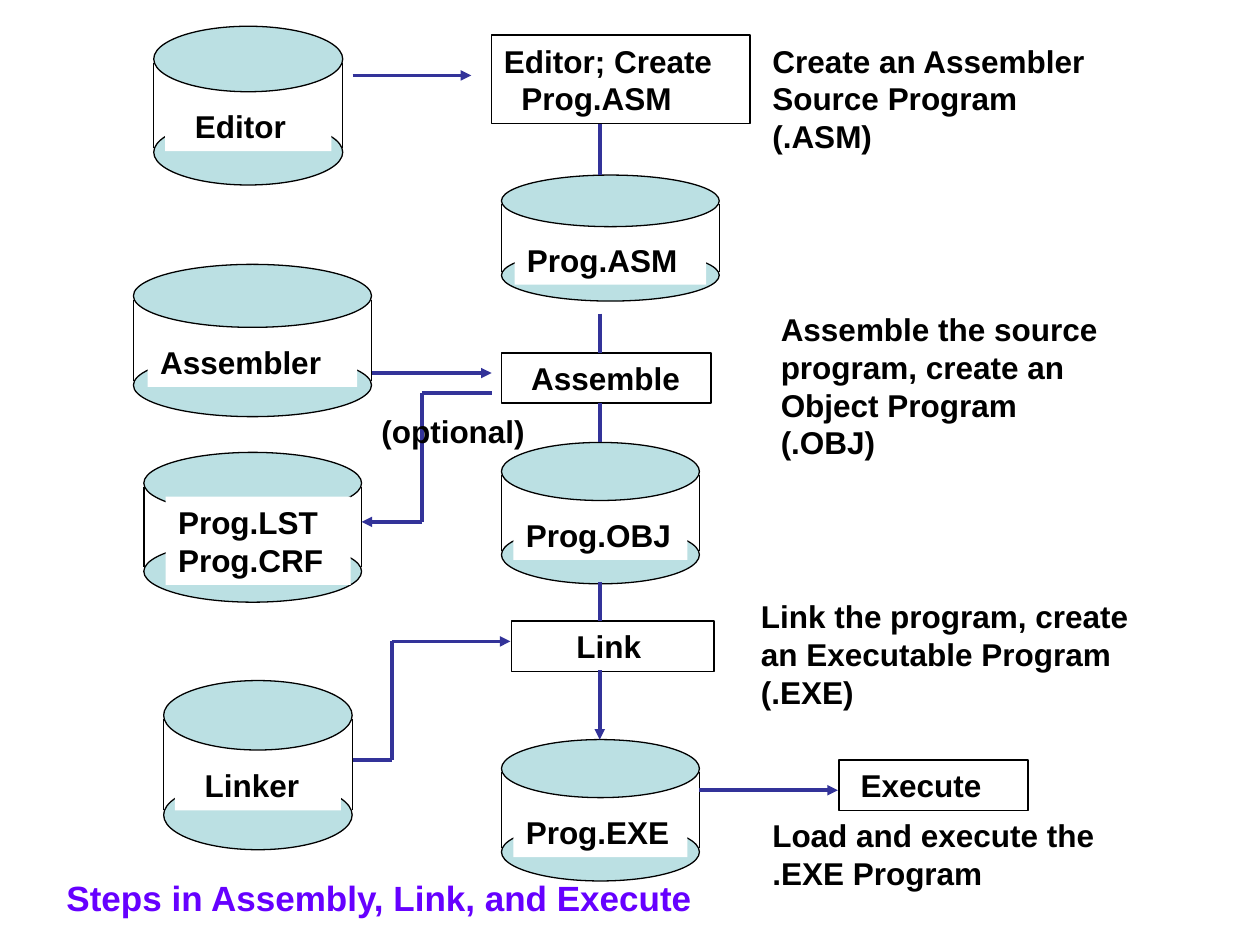
from itertools import pairwise

from lxml import etree
from pptx import Presentation
from pptx.dml.color import RGBColor
from pptx.enum.shapes import MSO_CONNECTOR, MSO_SHAPE
from pptx.enum.text import MSO_ANCHOR, PP_ALIGN
from pptx.oxml.ns import qn
from pptx.util import Cm, Pt

OVAL, RECT = MSO_SHAPE.OVAL, MSO_SHAPE.RECTANGLE
STRAIGHT = MSO_CONNECTOR.STRAIGHT
LEFT, TOP = PP_ALIGN.LEFT, MSO_ANCHOR.TOP

COLORS = {"disk": "BBE0E3", "ink": "000000", "paper": "FFFFFF",
          "flow": "333399", "title": "6600FF"}
FRAME = {"margin_left": Cm(0.25), "margin_right": Cm(0.25),
         "margin_top": Cm(0.13), "margin_bottom": Cm(0.13),
         "vertical_anchor": TOP}
FONT = {"name": "Arial", "bold": True}


def rgb(name):
    return RGBColor.from_string(COLORS[name])


def text_height(lines):
    return 0.26 + 0.76 * len(lines)


class Diagram:
    """Style and current slide; all lengths are in centimetres."""

    def __init__(self, slide):
        self.shapes = slide.shapes

    def shape(self, kind, x, y, w, h, fill=None, line=None, width=0.75):
        s = self.shapes.add_shape(kind, Cm(x), Cm(y), Cm(w), Cm(h))
        s.shadow.inherit = False
        if fill:
            s.fill.solid()
            s.fill.fore_color.rgb = rgb(fill)
        else:
            s.fill.background()
        if line:
            s.line.color.rgb = rgb(line)
            s.line.width = Pt(width)
        else:
            s.line.fill.background()
        return s

    def label(self, s, lines, indents=(), size=18, color="ink", wrap=True):
        tf = s.text_frame
        tf.word_wrap = wrap
        for key, value in FRAME.items():
            setattr(tf, key, value)
        for i, text in enumerate(lines):
            p = tf.paragraphs[0] if i == 0 else tf.add_paragraph()
            p.alignment = LEFT
            if i < len(indents):
                p._p.get_or_add_pPr().set("marL", str(Cm(indents[i])))
            r = p.add_run()
            r.text = text
            for key, value in FONT.items():
                setattr(r.font, key, value)
            r.font.size = Pt(size)
            r.font.color.rgb = rgb(color)

    def line(self, start, end, color, width, arrow=False):
        c = self.shapes.add_connector(STRAIGHT, *map(Cm, start + end))
        c.line.color.rgb = rgb(color)
        c.line.width = Pt(width)
        props = c._element.spPr
        if arrow:
            etree.SubElement(props.find(qn("a:ln")), qn("a:tailEnd"), type="triangle")
        etree.SubElement(props, qn("a:effectLst"))

    def route(self, points, arrow=True):
        last = len(points) - 2
        for i, (start, end) in enumerate(pairwise(points)):
            self.line(start, end, "flow", 2, arrow and i == last)

    def cylinder(self, x, y, w, oval_h, drop, label_y, lines, indent=0,
                 inset=0.06, label_w=0.88):
        for top in (y + drop, y):
            self.shape(OVAL, x, top, w, oval_h, "disk", "ink")
        for side in (x, x + w):
            self.line((side, y + 0.56 * oval_h), (side, y + drop + 0.43 * oval_h),
                      "ink", 0.75)
        s = self.shape(RECT, x + inset * w, label_y, label_w * w,
                       text_height(lines), "paper")
        self.label(s, lines, [indent])

    def box(self, x, y, w, lines, indents):
        s = self.shape(RECT, x, y, w, text_height(lines), line="ink", width=1)
        self.label(s, lines, indents)

    def note(self, x, y, w, lines, **style):
        s = self.shapes.add_textbox(Cm(x), Cm(y), Cm(w), Cm(text_height(lines)))
        self.label(s, lines, wrap=False, **style)


def main():
    prs = Presentation()
    prs.slide_width, prs.slide_height = Cm(25.4), Cm(19.05)
    d = Diagram(prs.slides.add_slide(prs.slide_layouts[6]))

    # Tools on the left
    d.cylinder(3.1, 0.53, 3.81, 1.32, 1.88, 2.03, ["Editor"], 0.35)
    d.cylinder(2.69, 5.33, 4.8, 1.27, 1.8, 6.78, ["Assembler"])
    d.cylinder(3.3, 13.72, 3.8, 1.4, 2.01, 15.32, ["Linker"], 0.35)
    d.cylinder(2.9, 9.12, 4.39, 1.24, 1.78, 10.01, ["Prog.LST", "Prog.CRF"],
               inset=0.1, label_w=0.85)

    # Files in the middle column
    d.cylinder(10.11, 3.53, 4.39, 1.04, 1.5, 4.72, ["Prog.ASM"])
    for y, name in ((8.92, "Prog.OBJ"), (14.91, "Prog.EXE")):
        d.cylinder(10.11, y, 3.99, 1.17, 1.68, y + 1.35, [name])

    # Process steps
    d.box(9.91, 0.71, 5.21, ["Editor; Create", "Prog.ASM"], [0, 0.35])
    d.box(10.11, 7.11, 4.22, ["Assemble"], [0.35])
    d.box(10.31, 12.52, 4.09, ["Link"], [1.06])
    d.box(16.92, 15.32, 3.81, ["Execute"], [0.18])

    # Explanations on the right
    d.note(15.32, 0.71, 7.62, ["Create an Assembler", "Source Program (.ASM)"])
    d.note(15.49, 6.12, 7.34, ["Assemble the source", "program, create an",
                               "Object Program (.OBJ)"])
    d.note(15.09, 11.91, 8, ["Link the program, create", "an Executable Program",
                             "(.EXE)"])
    d.note(15.32, 16.33, 7.16, ["Load and execute the", ".EXE Program"])

    # Main flow down the middle
    axis = 12.09
    for top, bottom in ((2.51, 3.53), (6.32, 7.11), (8.13, 8.92), (11.73, 12.52)):
        d.route([(axis, top), (axis, bottom)], arrow=False)
    d.route([(axis, 13.51), (axis, 14.91)])

    # Side flows
    d.route([(7.11, 1.52), (9.5, 1.52)])
    d.route([(7.49, 7.52), (9.91, 7.52)])
    d.route([(7.11, 15.32), (7.9, 15.32), (7.9, 12.93), (10.29, 12.93)])
    d.route([(9.91, 7.92), (8.51, 7.92), (8.51, 10.52), (7.29, 10.52)])
    d.route([(14.1, 15.93), (16.89, 15.93)])

    # Branch label and title
    d.note(7.44, 8.18, 3.4, ["(optional)"])
    d.note(1.09, 17.53, 13.39, ["Steps in Assembly, Link, and Execute"],
           size=20, color="title")

    prs.save("out.pptx")


if __name__ == "__main__":
    main()
